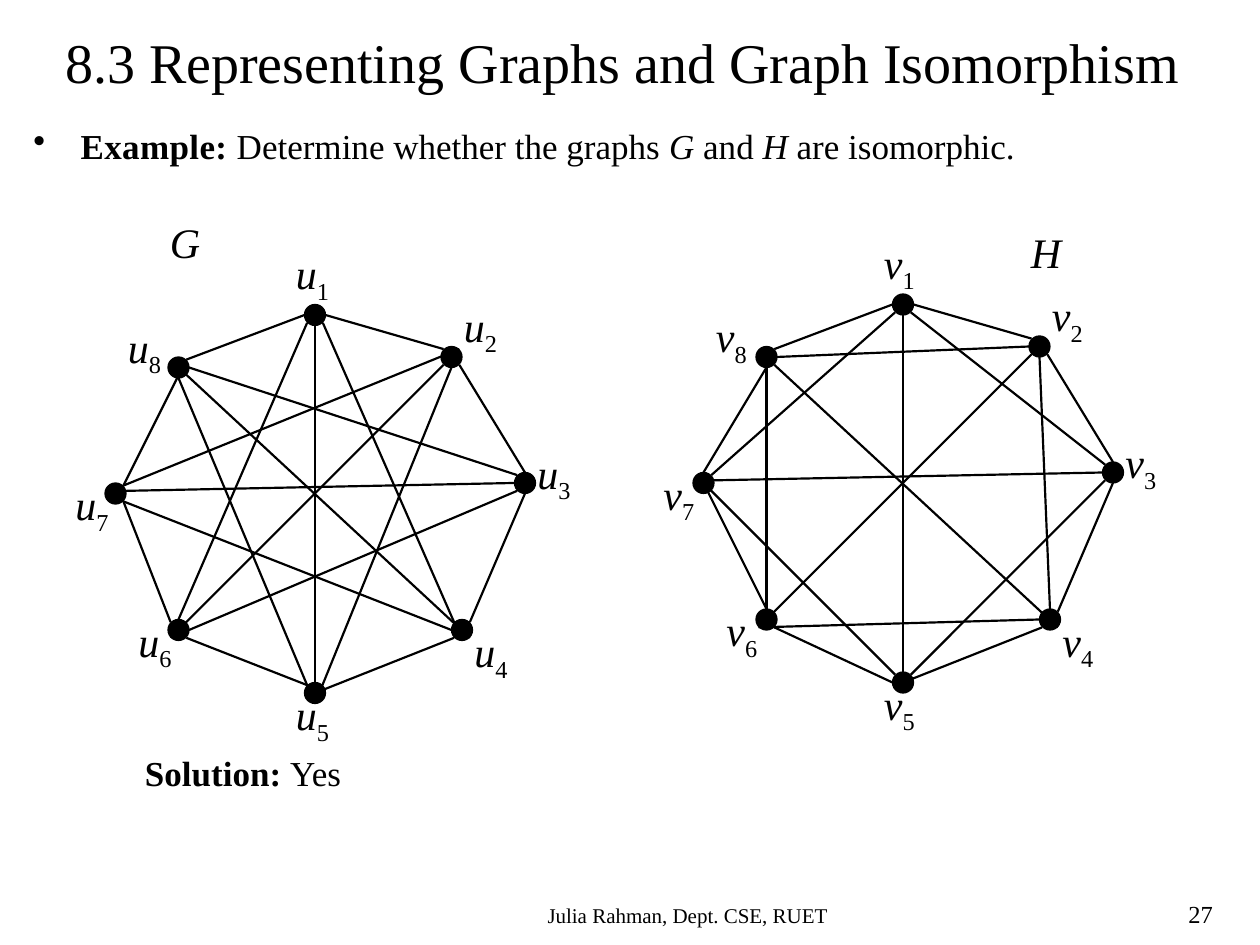
from dataclasses import dataclass

from lxml import etree
from pptx import Presentation
from pptx.dml.color import RGBColor
from pptx.enum.shapes import MSO_CONNECTOR, MSO_SHAPE
from pptx.enum.text import MSO_ANCHOR, MSO_AUTO_SIZE, PP_ALIGN
from pptx.oxml.ns import qn
from pptx.util import Emu, Pt

STRAIGHT = MSO_CONNECTOR.STRAIGHT
OVAL = MSO_SHAPE.OVAL
TOP = MSO_ANCHOR.TOP
NO_FIT = MSO_AUTO_SIZE.NONE
LEFT, CENTER = PP_ALIGN.LEFT, PP_ALIGN.CENTER
PX_PER_INCH = 96
TITLE_ONLY = 5


@dataclass(frozen=True)
class Theme:
    ink: RGBColor = RGBColor(0, 0, 0)
    face: str = "Times New Roman"
    title: int = 32
    label: int = 24
    body: int = 20
    number: int = 14
    footer: int = 12
    edge: float = 1.25
    outline: float = 0.75


THEME = Theme()
RADIUS = 8
SIDES = {
    "c": (0, 0), "n": (0, -8), "s": (0, 8), "e": (8, 0), "w": (-8, 0),
    "ne": (6, -6), "nw": (-6, -6), "se": (6, 6), "sw": (-6, 6), "ene": (8, -2),
}
VERTICES = {
    1: (240, 240), 2: (344, 272), 3: (400, 368), 4: (352, 480),
    5: (240, 528), 6: (136, 480), 7: (88, 376), 8: (136, 280),
}
LABELS = {
    1: (216, 184), 2: (344, 224), 3: (400, 336), 4: (352, 472),
    5: (216, 520), 6: (96, 464), 7: (48, 360), 8: (88, 240),
}
G_EDGES = (
    "7ne-2ne 1sw-6n 8c-4se 8e-3nw 8ne-7ne 2sw-6sw 6se-5nw 2s-5s 5c-4sw 4ne-3s "
    "1s-5n 1e-2nw 2se-3n 7se-6nw 8ne-1w 6e-3sw 8s-5nw 1se-4nw 7ene-3w 7se-4w"
)
H_EDGES = (
    "6se-5w 7c-6n 7c-5nw 5c-4sw 1s-5n 1e-2nw 2se-3n 8s-7n 4ne-3s 8ne-1w "
    "8e-2w 1se-3nw 8s-6n 2s-4n 3sw-5ne 4w-6sw 8se-4se 2sw-6sw 7ene-3w 7ne-1sw"
)
GRAPHS = [
    {"name": "G", "name_at": (120, 160), "letter": "u", "shift": (0, 0), "edges": G_EDGES},
    {"name": "H", "name_at": (776, 168), "letter": "v", "shift": (448, -8), "edges": H_EDGES},
]


def px(length):
    return Emu(length * 914400 // PX_PER_INCH)


def moved(point, offset):
    return point[0] + offset[0], point[1] + offset[1]


def apply(target, values):
    for name, value in values.items():
        setattr(target, name, value)


def write(frame, runs, size, align=LEFT, wrap=True, margin=0, indent=0, bullet=None):
    apply(frame, {"word_wrap": wrap, "auto_size": NO_FIT, "vertical_anchor": TOP})
    paragraph = frame.paragraphs[0]
    properties = paragraph._p.get_or_add_pPr()
    properties.set("marL", str(px(margin)))
    properties.set("indent", str(px(indent)))
    if bullet:
        etree.SubElement(properties, qn("a:buChar")).set("char", bullet)
    paragraph.alignment = align
    for text, style in runs:
        run = paragraph.add_run()
        run.text = text
        run.font.color.rgb = THEME.ink
        font_values = {"name": THEME.face, "size": Pt(size), "bold": False, "italic": False}
        apply(run.font, font_values | style)
    return paragraph


def add_text(slide, box, runs, size, **layout):
    frame = slide.shapes.add_textbox(*map(px, box)).text_frame
    return write(frame, runs, size, **layout)


def add_title(slide, box, text):
    title = slide.shapes.title
    apply(title, dict(zip(("left", "top", "width", "height"), map(px, box))))
    write(title.text_frame, [(text, {})], THEME.title)


def add_edge(slide, start, end):
    edge = slide.shapes.add_connector(STRAIGHT, *map(px, start + end))
    edge.line.color.rgb = THEME.ink
    edge.line.width = Pt(THEME.edge)
    etree.SubElement(edge._element.spPr, qn("a:effectLst"))


def add_vertex(slide, center):
    corner = moved(center, (-RADIUS, -RADIUS))
    vertex = slide.shapes.add_shape(OVAL, *map(px, corner + (2 * RADIUS, 2 * RADIUS)))
    vertex.shadow.inherit = False
    vertex.fill.solid()
    vertex.fill.fore_color.rgb = THEME.ink
    vertex.line.color.rgb = THEME.ink
    vertex.line.width = Pt(THEME.outline)


def add_label(slide, corner, letter, index=""):
    runs = [(letter, {"italic": True})]
    if index:
        runs.append((index, {}))
    label = add_text(slide, corner + (46, 49), runs, THEME.label, wrap=False)
    if index:
        label.runs[1].font._element.set("baseline", "-25000")


def add_graph(slide, name, name_at, letter, shift, edges):
    def anchor(end):
        return moved(moved(VERTICES[int(end[0])], SIDES[end[1:]]), shift)

    for edge in edges.split():
        add_edge(slide, *map(anchor, edge.split("-")))
    for index, center in VERTICES.items():
        add_vertex(slide, moved(center, shift))
        add_label(slide, moved(LABELS[index], shift), letter, str(index))
    add_label(slide, name_at, name)


def main():
    deck = Presentation()
    apply(deck, {"slide_width": px(960), "slide_height": px(720)})
    slide = deck.slides.add_slide(deck.slide_layouts[TITLE_ONLY])
    bold, italic = {"bold": True}, {"italic": True}

    add_title(slide, (40, 16, 888, 61), "8.3 Representing Graphs and Graph Isomorphism")
    question = [
        ("Example: ", bold), ("Determine whether the graphs ", {}), ("G", italic),
        (" and ", {}), ("H", italic), (" are isomorphic.", {}),
    ]
    example = add_text(slide, (16, 90, 928, 110), question, THEME.body,
                       margin=36, indent=-36, bullet="•")
    example.runs[0].font._element.set("spc", "20")
    for graph in GRAPHS:
        add_graph(slide, **graph)
    add_text(slide, (53, 568, 875, 42), [("Solution: ", bold), ("Yes", {})],
             THEME.body, margin=48)
    add_text(slide, (248, 683, 552, 29), [("Julia Rahman, Dept. CSE, RUET", {})],
             THEME.footer, align=CENTER)
    add_text(slide, (896, 680, 64, 32), [("27", {})], THEME.number)
    deck.save("out.pptx")


if __name__ == "__main__":
    main()
